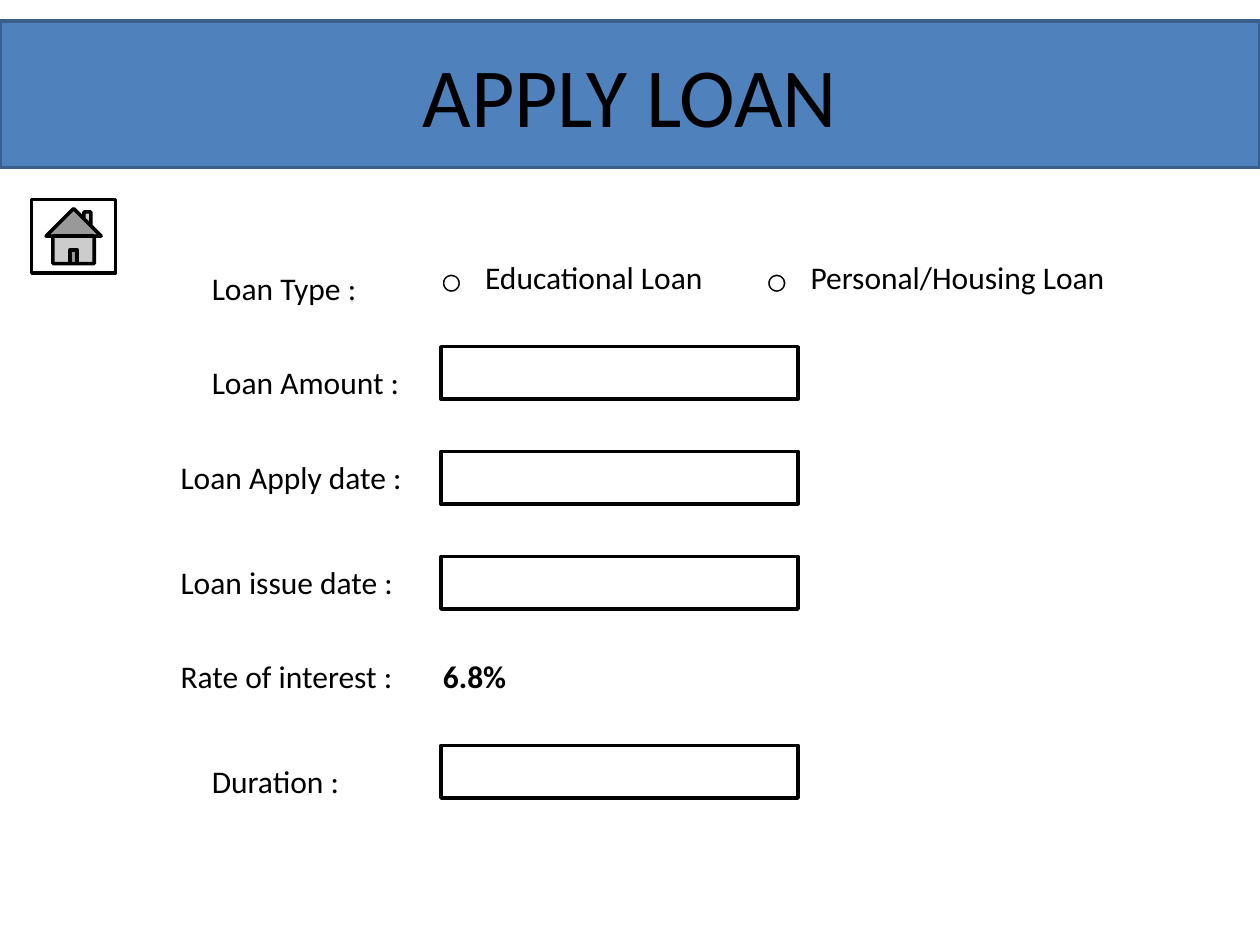
from dataclasses import dataclass

from pptx import Presentation
from pptx.dml.color import RGBColor
from pptx.enum.shapes import MSO_SHAPE
from pptx.enum.text import MSO_ANCHOR, MSO_AUTO_SIZE, PP_ALIGN
from pptx.util import Cm, Pt

RECTANGLE = MSO_SHAPE.RECTANGLE
RING = MSO_SHAPE.DONUT
HOME = MSO_SHAPE.ACTION_BUTTON_HOME
MIDDLE = MSO_ANCHOR.MIDDLE
CENTER = PP_ALIGN.CENTER
FIXED_SIZE = MSO_AUTO_SIZE.NONE
FIT_SHAPE = MSO_AUTO_SIZE.SHAPE_TO_FIT_TEXT
TITLE_ONLY = 5


@dataclass(frozen=True)
class Theme:
    font: str = "Calibri"
    ink: RGBColor = RGBColor(0x00, 0x00, 0x00)
    paper: RGBColor = RGBColor(0xFF, 0xFF, 0xFF)
    banner: RGBColor = RGBColor(0x4F, 0x81, 0xBD)
    banner_edge: RGBColor = RGBColor(0x3A, 0x5F, 0x8C)
    title_size: Pt = Pt(48)
    text_size: Pt = Pt(18)
    line_width: Pt = Pt(2)


@dataclass(frozen=True)
class Box:
    left: float
    top: float
    width: float
    height: float

    def inner(self, left, top, width, height):
        return Box(self.left + left, self.top + top, width, height)

    def lengths(self):
        return Cm(self.left), Cm(self.top), Cm(self.width), Cm(self.height)


THEME = Theme()
LABEL_HEIGHT = 1.02
FIELD_LEFT = 5.5
FIELD_WIDTH = 7.2
FIELD_HEIGHT = 1.06
RING_SIZE = 0.42
OPTION_INDENT = 0.64

LABELS = [
    ("Loan Type :", 0.63, 0.21, 3.48),
    ("Loan Amount :", 0.63, 2.12, 4.34),
    ("Loan Apply date :", 0, 4.02, 5.03),
    ("Loan issue date :", 0, 6.14, 4.85),
    ("Rate of interest :", 0, 8.04, 4.83),
    ("Duration :", 0.63, 10.16, 3.12),
]
FIELD_TOPS = [1.91, 4.02, 6.14, 9.95]
OPTIONS = [
    ("Educational Loan", 5.5, 4.95),
    ("Personal/Housing Loan", 12.06, 6.5),
]


def paint(shape, fill, line):
    shape.fill.solid()
    shape.fill.fore_color.rgb = fill
    shape.line.color.rgb = line
    shape.line.width = THEME.line_width


def style_text(paragraph, size, bold=False):
    for span in paragraph.runs:
        span.font.name = THEME.font
        span.font.size = size
        span.font.bold = bold
        span.font.color.rgb = THEME.ink


def add_outline(page, kind, box, fill=THEME.paper, line=THEME.ink):
    shape = page.shapes.add_shape(kind, *box.lengths())
    shape.shadow.inherit = False
    paint(shape, fill, line)


def add_label(page, text, box, bold=False):
    frame = page.shapes.add_textbox(*box.lengths()).text_frame
    frame.word_wrap = False
    frame.auto_size = FIT_SHAPE
    frame.text = text
    style_text(frame.paragraphs[0], THEME.text_size, bold)


def build_banner(page, box):
    title = page.shapes.title
    title.left, title.top, title.width, title.height = box.lengths()
    paint(title, THEME.banner, THEME.banner_edge)
    frame = title.text_frame
    frame.text = "APPLY LOAN"
    frame.auto_size = FIXED_SIZE
    frame.vertical_anchor = MIDDLE
    paragraph = frame.paragraphs[0]
    paragraph.alignment = CENTER
    style_text(paragraph, THEME.title_size)


def build_options(page, box):
    for text, left, width in OPTIONS:
        ring = box.inner(left, 0.42, RING_SIZE, RING_SIZE)
        add_outline(page, RING, ring, THEME.ink, THEME.paper)
        add_label(page, text, box.inner(left + OPTION_INDENT, 0, width, LABEL_HEIGHT))


def build_form(page, box):
    for text, left, top, width in LABELS:
        add_label(page, text, box.inner(left, top, width, LABEL_HEIGHT))
    for top in FIELD_TOPS:
        add_outline(page, RECTANGLE, box.inner(FIELD_LEFT, top, FIELD_WIDTH, FIELD_HEIGHT))
    add_label(page, "6.8%", box.inner(5.29, 8.04, 1.8, LABEL_HEIGHT), bold=True)
    build_options(page, box)


def main():
    deck = Presentation()
    deck.slide_width = Cm(25.4)
    deck.slide_height = Cm(19.05)
    page = deck.slides.add_slide(deck.slide_layouts[TITLE_ONLY])
    build_banner(page, Box(0, 0.42, 25.4, 2.96))
    add_outline(page, HOME, Box(0.64, 4.02, 1.69, 1.48))
    build_form(page, Box(3.39, 5.08, 19.2, 11.2))
    deck.save("out.pptx")


if __name__ == "__main__":
    main()
